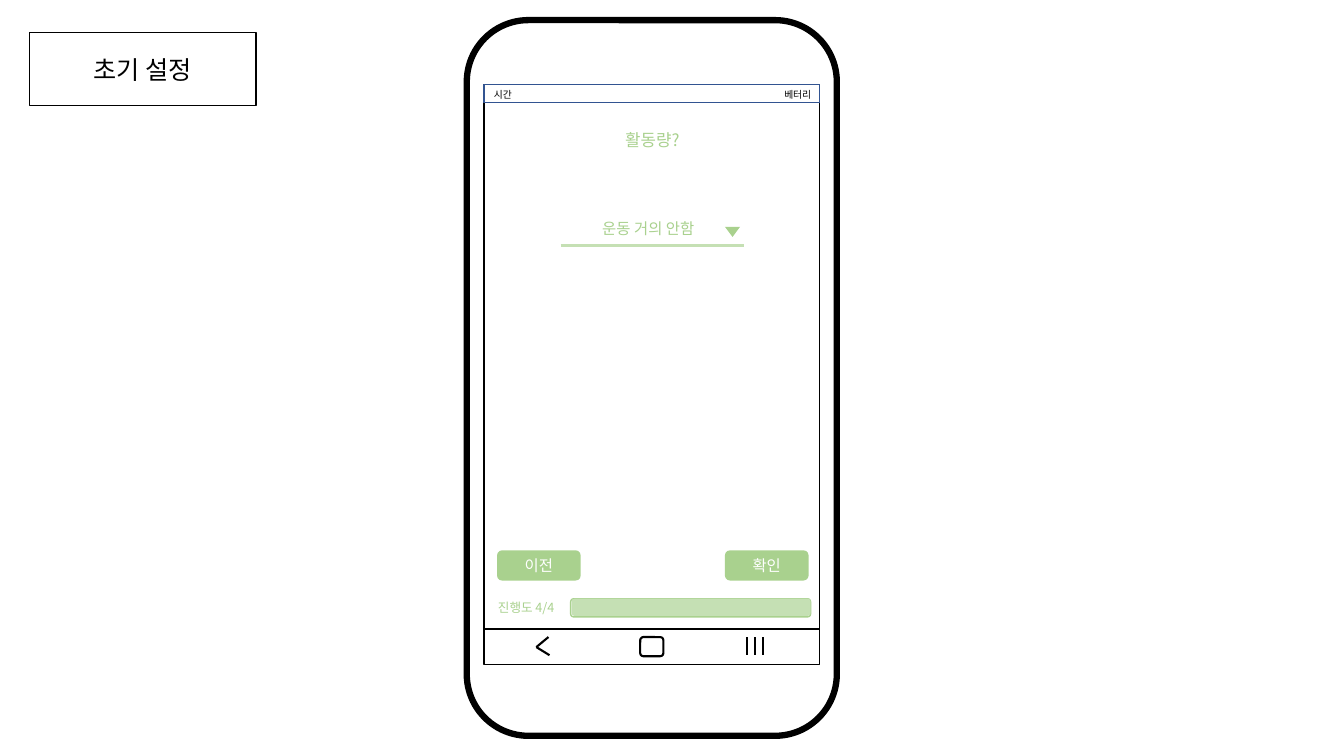
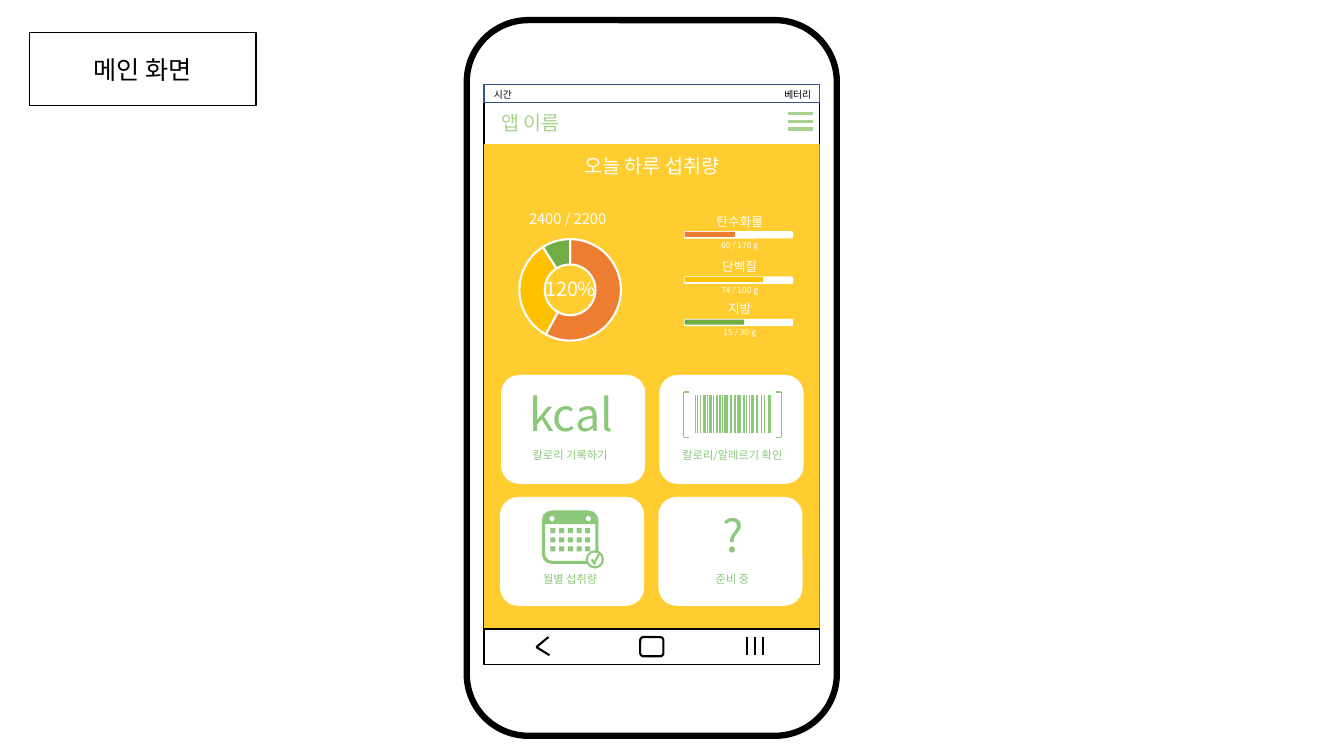
from dataclasses import dataclass

from lxml import etree
from pptx import Presentation
from pptx.chart import data
from pptx.dml import color
from pptx.enum import chart as charts, shapes, text
from pptx.oxml import ns
from pptx.util import Inches, Pt

KIND = shapes.MSO_SHAPE
ALIGN = text.PP_ALIGN
TITLE_ONLY = 5


@dataclass(frozen=True)
class Theme:
    font: str = "Noto Sans CJK KR"
    ink: str = "000000"
    paper: str = "FFFFFF"
    status_line: str = "325491"
    accent: str = "A9D18E"
    pale: str = "C5E0B4"
    icon: str = "8BC87A"
    panel: str = "FFCD2F"
    carbs: str = "ED7D31"
    protein: str = "FFC000"
    fat: str = "70AD47"
    icon_size: float = 32
    title_size: float = 18
    heading_size: float = 14
    question_size: float = 12
    body_size: float = 11
    total_size: float = 10.5
    chart_size: float = 10
    label_size: float = 9
    caption_size: float = 8
    status_size: float = 7
    amount_size: float = 6


THEME = Theme()


def rgb(value):
    return color.RGBColor.from_string(value)


def write(box, content, size=THEME.body_size, ink=THEME.ink,
          align=ALIGN.CENTER, anchor=text.MSO_ANCHOR.MIDDLE,
          fit=text.MSO_AUTO_SIZE.NONE):
    frame = box.text_frame
    frame.word_wrap = True
    frame.auto_size = fit
    frame.vertical_anchor = anchor
    para = frame.paragraphs[0]
    para.alignment = align
    span = para.add_run()
    span.text = content
    span.font.size = Pt(size)
    span.font.name = THEME.font
    span.font.color.rgb = rgb(ink)
    east_asian = etree.SubElement(span.font._element, ns.qn("a:ea"))
    east_asian.set("typeface", THEME.font)


def label(page, at, content, size, ink, align=ALIGN.CENTER):
    box = page.shapes.add_textbox(*map(Inches, at))
    write(box, content, size=size, ink=ink, align=align,
          anchor=text.MSO_ANCHOR.TOP,
          fit=text.MSO_AUTO_SIZE.SHAPE_TO_FIT_TEXT)


def paint(box, fill=None, line=None, width=1):
    if fill:
        box.fill.solid()
        box.fill.fore_color.rgb = rgb(fill)
    else:
        box.fill.background()
    if line:
        box.line.color.rgb = rgb(line)
        box.line.width = Pt(width)
    else:
        box.line.fill.background()


def shape(page, kind, at, fill=None, line=None, width=1):
    box = page.shapes.add_shape(kind, *map(Inches, at))
    box.shadow.inherit = False
    paint(box, fill, line, width)
    return box


def stroke(page, start, end, ink, width=1):
    line = page.shapes.add_connector(
        shapes.MSO_CONNECTOR.STRAIGHT, *map(Inches, start + end))
    line.line.color.rgb = rgb(ink)
    line.line.width = Pt(width)
    etree.SubElement(line._element.spPr, ns.qn("a:effectLst"))


def button(page, left, content):
    box = shape(page, KIND.ROUNDED_RECTANGLE, (left, 5.46, 0.83, 0.3),
                THEME.accent)
    write(box, content, ink=THEME.paper)


def screen_title(page, content):
    box = page.shapes.title
    box.left, box.top, box.width, box.height = map(
        Inches, (0.29, 0.32, 2.25, 0.73))
    paint(box, THEME.paper, THEME.ink)
    write(box, content, size=THEME.title_size)


def phone(page):
    shape(page, KIND.ROUNDED_RECTANGLE, (4.63, 0.2, 3.67, 7.1),
          THEME.paper, THEME.ink, 4.5)
    shape(page, KIND.RECTANGLE, (4.8, 0.84, 3.33, 5.74),
          THEME.paper, THEME.ink)
    shape(page, KIND.RECTANGLE, (4.8, 0.84, 3.33, 0.18),
          THEME.paper, THEME.status_line)
    for left, content in ((4.8, "시간"), (7.68, "베터리")):
        label(page, (left, 0.83, 0.52, 0.22), content,
              THEME.status_size, THEME.ink, ALIGN.LEFT)


def navigation(page):
    shape(page, KIND.RECTANGLE, (4.8, 6.24, 3.33, 0.35),
          THEME.paper, THEME.ink)
    for start in ((5.44, 6.32), (5.45, 6.5)):
        stroke(page, start, (5.32, 6.42), THEME.ink, 1.5)
    shape(page, KIND.ROUNDED_RECTANGLE, (6.35, 6.32, 0.23, 0.19),
          THEME.paper, THEME.ink, 1.5)
    for index in range(3):
        x = 7.41 + 0.08 * index
        stroke(page, (x, 6.32), (x, 6.5), THEME.ink, 1.5)


def activity_form(page):
    label(page, (5.36, 1.24, 2.22, 0.3), "활동량?",
          THEME.question_size, THEME.accent)
    label(page, (5.32, 2.12, 2.22, 0.29), "운동 거의 안함",
          THEME.body_size, THEME.accent)
    stroke(page, (5.56, 2.44), (7.38, 2.44), THEME.pale, 2.25)
    arrow = shape(page, KIND.ISOSCELES_TRIANGLE, (7.19, 2.25, 0.15, 0.1),
                  THEME.accent)
    arrow.rotation = 180
    button(page, 4.93, "이전")
    button(page, 7.19, "확인")
    label(page, (4.84, 5.9, 1.63, 0.25), "진행도 4/4",
          THEME.label_size, THEME.accent, ALIGN.LEFT)
    shape(page, KIND.ROUNDED_RECTANGLE, (5.66, 5.94, 2.38, 0.18),
          THEME.paper, THEME.accent)
    shape(page, KIND.ROUNDED_RECTANGLE, (5.67, 5.94, 2.37, 0.17), THEME.pale)


def app_header(page):
    label(page, (4.8, 1.05, 0.92, 0.34), "앱 이름",
          THEME.heading_size, THEME.accent)
    for index in range(3):
        y = 1.13 + 0.075 * index
        stroke(page, (7.82, y), (8.06, y), THEME.accent, 2.25)


def place_plot(chart, **fractions):
    area = chart._chartSpace.find(".//" + ns.qn("c:plotArea"))
    for old in area.findall(ns.qn("c:layout")):
        area.remove(old)
    layout = etree.Element(ns.qn("c:layout"))
    area.insert(0, layout)
    manual = etree.SubElement(layout, ns.qn("c:manualLayout"))
    settings = {"layoutTarget": "inner", "xMode": "edge", "yMode": "edge"}
    for name, value in (settings | fractions).items():
        etree.SubElement(manual, ns.qn("c:" + name)).set("val", str(value))


def intake_chart(page):
    source = data.CategoryChartData()
    source.categories = ["1", "2", "3"]
    source.add_series("Series 1", (58, 33, 9))
    chart = page.shapes.add_chart(
        charts.XL_CHART_TYPE.DOUGHNUT,
        *map(Inches, (5.07, 2.36, 1.56, 1.26)), source).chart
    chart.has_legend = False
    chart.has_title = False
    chart.font.name = THEME.font
    chart.font.size = Pt(THEME.chart_size)
    chart.font.color.rgb = rgb(THEME.ink)
    plot = chart.plots[0]
    plot.vary_by_categories = True
    plot._element.find(ns.qn("c:holeSize")).set("val", "75")
    for index, fill in enumerate((THEME.carbs, THEME.protein, THEME.fat)):
        form = plot.series[0].points[index].format
        form.fill.solid()
        form.fill.fore_color.rgb = rgb(fill)
        form.line.color.rgb = rgb(THEME.paper)
        form.line.width = Pt(1.5)
    place_plot(chart, x=0.05, y=0.01, w=0.65, h=0.8)


def nutrient(page, top, name, amount, length, fill):
    shape(page, KIND.ROUNDED_RECTANGLE, (6.79, top, 1.07, 0.06),
          THEME.paper, THEME.paper)
    shape(page, KIND.ROUNDED_RECTANGLE, (6.79, top, length, 0.05), fill)
    label(page, (6.99, top - 0.23, 0.69, 0.25), name,
          THEME.label_size, THEME.paper)
    label(page, (6.99, top + 0.03, 0.69, 0.2), amount,
          THEME.amount_size, THEME.paper)


def daily_intake(page):
    shape(page, KIND.RECTANGLE, (4.8, 1.43, 3.33, 5.15), THEME.panel)
    label(page, (4.96, 1.48, 3.01, 0.34), "오늘 하루 섭취량",
          THEME.heading_size, THEME.paper)
    label(page, (4.04, 2.03, 3.18, 0.29), "2400 / 2200",
          THEME.total_size, THEME.paper)
    intake_chart(page)
    label(page, (5.22, 2.7, 0.88, 0.34), "120%",
          THEME.heading_size, THEME.paper)
    nutrient(page, 2.3, "탄수화물", "60 / 170 g", 0.5, THEME.carbs)
    nutrient(page, 2.75, "단백질", "74 / 100 g", 0.78, THEME.protein)
    nutrient(page, 3.17, "지방", "15 / 30 g", 0.59, THEME.fat)


def menu_cards(page):
    captions = (("칼로리 기록하기", "칼로리/알레르기 확인"),
                ("월별 섭취량", "준비 중"))
    for row, names in enumerate(captions):
        for column, name in enumerate(names):
            shape(page, KIND.ROUNDED_RECTANGLE,
                  (4.97 + 1.57 * column - 0.01 * row, 3.72 + 1.21 * row,
                   1.43, 1.08), THEME.paper)
            label(page, (4.8 + 1.61 * column, 4.4 + 1.23 * row, 1.71, 0.24),
                  name, THEME.caption_size, THEME.icon)
    for left, top, sign in ((5.02, 3.79, "kcal"), (6.63, 4.99, "?")):
        label(page, (left, top, 1.29, 0.64), sign,
              THEME.icon_size, THEME.icon)


def barcode(page):
    bars = {
        0.5: (7.02, 7.08, 7.16, 7.4, 7.43),
        1: (6.9, 6.92, 6.95, 7.11, 7.14, 7.25, 7.29, 7.38, 7.51, 7.55, 7.58),
        2.25: (6.99, 7.05, 7.2, 7.33, 7.46, 7.63),
    }
    for width, places in bars.items():
        for x in places:
            stroke(page, (x, 3.92), (x, 4.3), THEME.icon, width)
    for edge, inner in ((6.78, 6.83), (7.75, 7.7)):
        stroke(page, (edge, 3.89), (edge, 4.34), THEME.icon)
        for y in (3.89, 4.34):
            stroke(page, (inner, y), (edge, y), THEME.icon)


def calendar(page):
    shape(page, KIND.ROUNDED_RECTANGLE, (5.39, 5.08, 0.53, 0.5),
          line=THEME.icon, width=2.25)
    for left, top, width in ((5.39, 5.15, 0.53), (5.39, 5.1, 0.52),
                             (5.42, 5.09, 0.47)):
        shape(page, KIND.RECTANGLE, (left, top, width, 0.05), THEME.icon)
    for left in (5.45, 5.81):
        shape(page, KIND.OVAL, (left, 5.12, 0.05, 0.05), THEME.paper)
    for row in range(3):
        for column in range(5):
            shape(page, KIND.RECTANGLE,
                  (5.46 + 0.086 * column, 5.24 + 0.09 * row, 0.05, 0.05),
                  THEME.icon)
    shape(page, KIND.OVAL, (5.82, 5.47, 0.16, 0.16),
          THEME.paper, THEME.icon, 1.5)
    stroke(page, (5.87, 5.55), (5.9, 5.6), THEME.icon, 1.5)
    stroke(page, (5.94, 5.5), (5.89, 5.59), THEME.icon, 1.5)


def main():
    deck = Presentation()
    deck.slide_width = Inches(13.33)
    deck.slide_height = Inches(7.5)
    screens = (
        ("초기 설정", (activity_form,)),
        ("메인 화면", (app_header, daily_intake, menu_cards, barcode, calendar)),
    )
    for title, parts in screens:
        page = deck.slides.add_slide(deck.slide_layouts[TITLE_ONLY])
        screen_title(page, title)
        for draw in (phone, *parts, navigation):
            draw(page)
    deck.save("out.pptx")


main()
